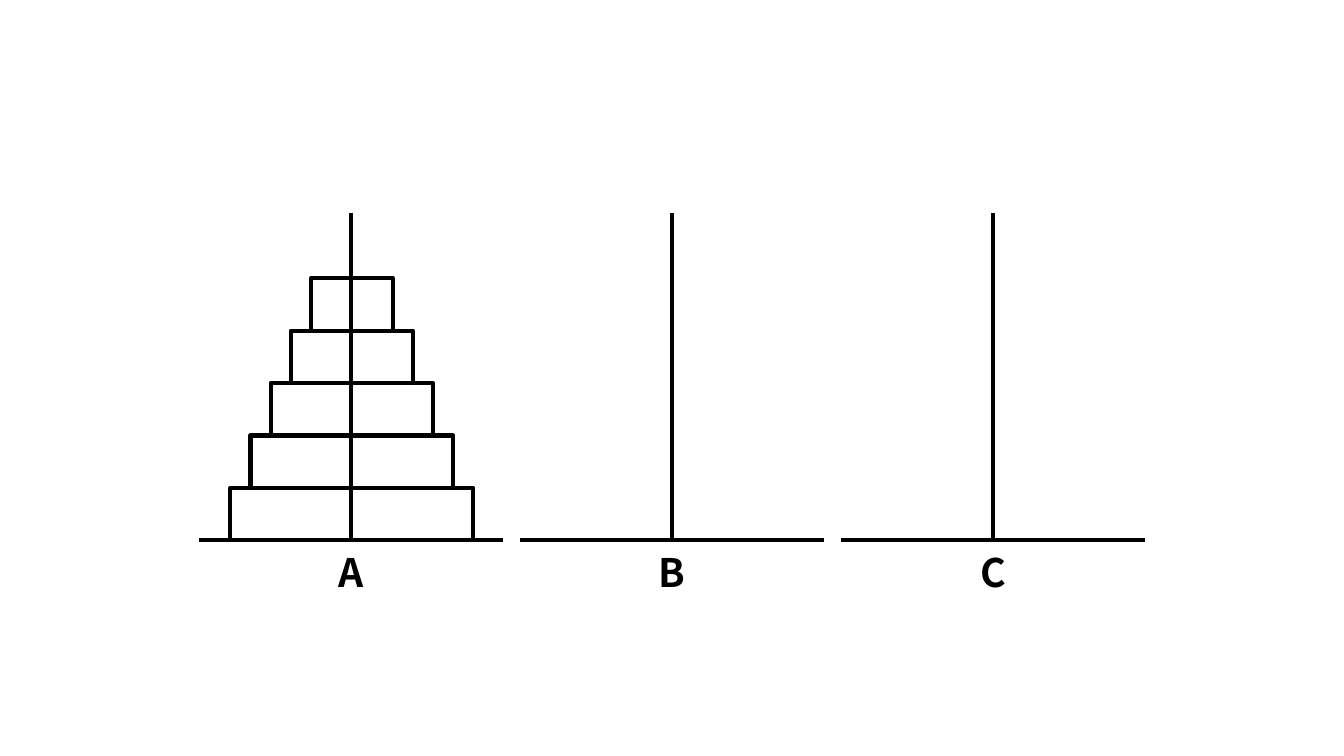
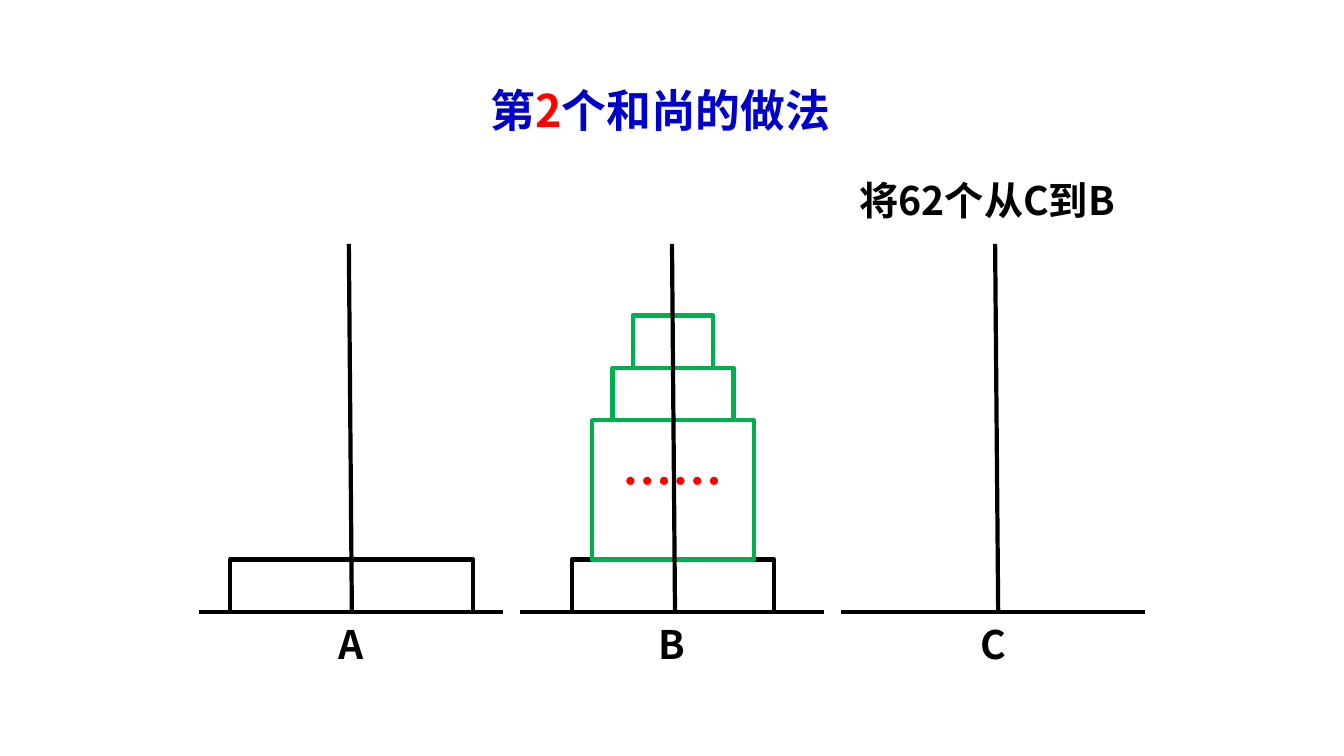
"""Build two slides showing the Tower of Hanoi."""
from dataclasses import dataclass

from lxml import etree
from pptx import Presentation
from pptx.dml.color import RGBColor
from pptx.enum.lang import MSO_LANGUAGE_ID
from pptx.enum.shapes import MSO_CONNECTOR, MSO_SHAPE
from pptx.enum.text import MSO_ANCHOR, PP_ALIGN
from pptx.oxml.ns import qn
from pptx.slide import Slide
from pptx.text.text import TextFrame
from pptx.util import Inches, Pt

STRAIGHT = MSO_CONNECTOR.STRAIGHT
PROCESS = MSO_SHAPE.FLOWCHART_PROCESS
CENTER = PP_ALIGN.CENTER
TOP = MSO_ANCHOR.TOP
CHINESE = MSO_LANGUAGE_ID.SIMPLIFIED_CHINESE

BLACK = RGBColor(0x00, 0x00, 0x00)
BLUE = RGBColor(0x00, 0x00, 0xCC)
RED = RGBColor(0xFF, 0x00, 0x00)
GREEN = RGBColor(0x00, 0xB0, 0x50)

FONT = "Noto Sans CJK SC"
STROKE = Pt(3)
LEADING = Pt(24)

PEGS = "ABC"
FIRST_X = 3.48
PITCH = 3.185
BASE_W = 3.01
DISK_H = 0.52
LABEL_W, LABEL_H, LABEL_DROP = 0.77, 0.49, 0.165


@dataclass(frozen=True)
class Run:
    """A piece of text in one colour."""
    text: str
    color: RGBColor = BLACK


@dataclass(frozen=True)
class Disk:
    """One block of a tower."""
    width: float
    height: float = DISK_H
    color: RGBColor = BLACK
    text: str = ""


@dataclass(frozen=True)
class Scene:
    """Heights and rod positions of the three pegs, with disks by peg."""
    base_y: float
    rod_top: float
    rod_x: float
    rod_pitch: float
    lean: float
    towers: dict[str, list[Disk]]


def write(tf: TextFrame, runs: list[Run], size: int, **frame: object) -> None:
    """Write one centred bold paragraph and apply the frame settings."""
    for name, value in frame.items():
        setattr(tf, name, value)
    p = tf.paragraphs[0]
    p.alignment = CENTER
    for run in runs:
        r = p.add_run()
        r.text = run.text
        look = {"name": FONT, "size": Pt(size), "bold": True, "language_id": CHINESE}
        for name, value in look.items():
            setattr(r.font, name, value)
        r.font.color.rgb = run.color
        etree.SubElement(r.font._element, qn("a:ea"), typeface=FONT)


def add_text(s: Slide, box: tuple[float, float, float, float], runs: list[Run],
             size: int, inset_top: float = 0.05) -> None:
    """Add a text box with fixed leading."""
    tf = s.shapes.add_textbox(*map(Inches, box)).text_frame
    write(tf, runs, size, word_wrap=True, margin_top=Inches(inset_top))
    tf.paragraphs[0].line_spacing = LEADING


def add_line(s: Slide, x1: float, y1: float, x2: float, y2: float) -> None:
    """Add a black line without a shadow."""
    line = s.shapes.add_connector(STRAIGHT, *map(Inches, (x1, y1, x2, y2)))
    line.line.color.rgb = BLACK
    line.line.width = STROKE
    etree.SubElement(line._element.spPr, qn("a:effectLst"))


def add_tower(s: Slide, x: float, bottom: float, disks: list[Disk]) -> None:
    """Stack disks upwards, centred on x."""
    for disk in disks:
        bottom -= disk.height
        box = (x - disk.width / 2, bottom, disk.width, disk.height)
        sp = s.shapes.add_shape(PROCESS, *map(Inches, box))
        sp.shadow.inherit = False
        sp.fill.background()
        sp.line.color.rgb = disk.color
        sp.line.width = STROKE
        if disk.text:
            write(sp.text_frame, [Run(disk.text, RED)], 36, word_wrap=False,
                  vertical_anchor=TOP, margin_top=Inches(0.3))


def add_scene(s: Slide, scene: Scene) -> None:
    """Draw bases, labels, towers and rods."""
    for i, peg in enumerate(PEGS):
        x, y = FIRST_X + i * PITCH, scene.base_y
        add_line(s, x - BASE_W / 2, y, x + BASE_W / 2, y)
        label = (x - LABEL_W / 2, y + LABEL_DROP, LABEL_W, LABEL_H)
        add_text(s, label, [Run(peg)], 28)
        add_tower(s, x + 0.01, y, scene.towers.get(peg, []))
        foot = scene.rod_x + i * scene.rod_pitch
        add_line(s, foot, y, foot - scene.lean, scene.rod_top)


def main() -> None:
    """Build and save the presentation."""
    prs = Presentation()
    prs.slide_width, prs.slide_height = Inches(13.33), Inches(7.5)
    start = Scene(5.36, 2.11, FIRST_X, PITCH, 0,
                  {"A": [Disk(2.41 - 0.4 * n) for n in range(5)]})
    second_monk = Scene(6.07, 2.42, 3.49, 3.205, 0.03, {
        "A": [Disk(2.41)],
        "B": [Disk(2.01), Disk(1.6, 1.38, GREEN, "……"),
              Disk(1.2, color=GREEN), Disk(0.8, color=GREEN)],
    })
    slides = []
    for scene in (start, second_monk):
        s = prs.slides.add_slide(prs.slide_layouts[6])
        add_scene(s, scene)
        slides.append(s)
    title = [Run("第", BLUE), Run("2", RED), Run("个和尚的做法", BLUE)]
    add_text(slides[1], (4.09, 0.78, 4.92, 0.7), title, 32, 0.24)
    add_text(slides[1], (8.15, 1.64, 3.28, 0.7), [Run("将62个从C到B")], 28, 0.24)
    prs.save("out.pptx")


if __name__ == "__main__":
    main()
